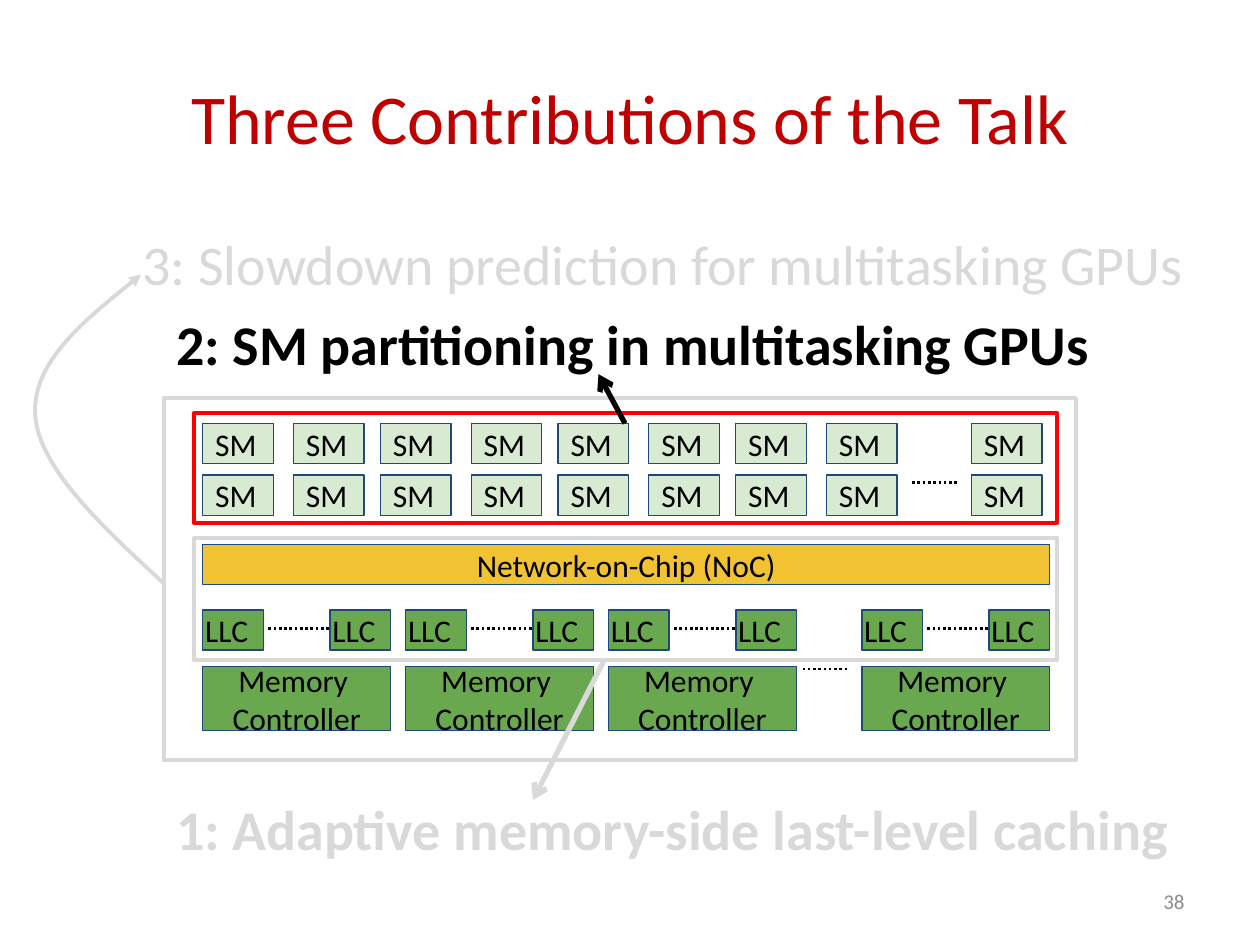
from lxml.etree import SubElement
from pptx import Presentation
from pptx.dml.color import RGBColor
from pptx.enum.dml import MSO_LINE
from pptx.enum.shapes import MSO_CONNECTOR, MSO_SHAPE
from pptx.enum.text import MSO_ANCHOR, PP_ALIGN
from pptx.oxml.ns import qn
from pptx.util import Inches, Pt

BLACK = RGBColor(0x00, 0x00, 0x00)
TITLE_RED = RGBColor(0xC0, 0x00, 0x00)
FOCUS_RED = RGBColor(0xFF, 0x00, 0x00)
FADED = RGBColor(0xD9, 0xD9, 0xD9)
PAGE_GRAY = RGBColor(0x8C, 0x8C, 0x8C)
NAVY = RGBColor(0x1F, 0x49, 0x7D)
SM_GREEN = RGBColor(0xD9, 0xEA, 0xD3)
MEMORY_GREEN = RGBColor(0x6A, 0xA8, 0x4F)
NOC_YELLOW = RGBColor(0xF1, 0xC2, 0x32)

UNIT_HEIGHT = 0.32
SM_WIDTH = 0.56
LLC_WIDTH = 0.48
CONTROLLER_WIDTH, CONTROLLER_HEIGHT = 1.49, 0.51


def inches(*lengths):
    return [Inches(length) for length in lengths]


def write(shape, text, size, color=BLACK, align=PP_ALIGN.LEFT,
          anchor=MSO_ANCHOR.TOP, bold=False, wrap=True, inset=None):
    frame = shape.text_frame
    frame.text = text
    frame.word_wrap = wrap
    frame.vertical_anchor = anchor
    if inset is not None:
        frame.margin_left = frame.margin_right = Inches(inset)
        frame.margin_top = frame.margin_bottom = Inches(inset)
    for paragraph in frame.paragraphs:
        paragraph.alignment = align
        for run in paragraph.runs:
            run.font.name = "Calibri"
            run.font.size = Pt(size)
            run.font.bold = bold
            run.font.color.rgb = color


def add_label(shapes, box, text, size, **style):
    write(shapes.add_textbox(*inches(*box)), text, size, **style)


def add_block(shapes, box, fill, text="", align=PP_ALIGN.CENTER):
    block = shapes.add_shape(MSO_SHAPE.RECTANGLE, *inches(*box))
    block.shadow.inherit = False
    block.fill.solid()
    block.fill.fore_color.rgb = fill
    block.line.color.rgb = NAVY
    block.line.width = Pt(0.75)
    if text:
        write(block, text, 18, align=align, anchor=MSO_ANCHOR.MIDDLE, inset=0.1)


def add_frame(shapes, box, color):
    frame = shapes.add_shape(MSO_SHAPE.RECTANGLE, *inches(*box))
    frame.shadow.inherit = False
    frame.fill.background()
    frame.line.color.rgb = color
    frame.line.width = Pt(2.25)


def add_arrowhead(shape, kind):
    SubElement(shape.line._get_or_add_ln(), qn("a:tailEnd"), type=kind)


def add_line(shapes, start, end, color, width):
    line = shapes.add_connector(MSO_CONNECTOR.STRAIGHT, *inches(*start, *end))
    SubElement(line._element.spPr, qn("a:effectLst"))
    line.line.color.rgb = color
    line.line.width = Pt(width)
    return line


def add_dots(shapes, left, y, width):
    dots = add_line(shapes, (left, y), (left + width, y), BLACK, 1.5)
    dots.line.dash_style = MSO_LINE.ROUND_DOT


def add_arrow(shapes, start, end, color):
    add_arrowhead(add_line(shapes, start, end, color, 3), "arrow")


def add_curved_arrow(shapes, start, *points):
    """Draw cubic segments; each takes two control points and an end point."""
    builder = shapes.build_freeform(*inches(*start))
    builder.add_line_segments([inches(*point) for point in points], close=False)
    curve = builder.convert_to_shape()
    curve.shadow.inherit = False
    curve.fill.background()
    curve.line.color.rgb = FADED
    curve.line.width = Pt(2.25)
    add_arrowhead(curve, "triangle")
    outline = next(curve._element.iter(qn("a:path")))
    segments = outline.findall(qn("a:lnTo"))
    for first in range(0, len(segments), 3):
        cubic = SubElement(outline, qn("a:cubicBezTo"))
        for segment in segments[first:first + 3]:
            cubic.append(segment[0])
            outline.remove(segment)


def add_sm_array(shapes, left, top):
    pair_pitch, partner_offset, row_pitch = 1.41, 0.72, 0.41
    columns = [pair * pair_pitch + side * partner_offset
               for pair in range(4) for side in range(2)] + [6.1]
    for row in range(2):
        for column in columns:
            box = (left + column, top + row * row_pitch, SM_WIDTH, UNIT_HEIGHT)
            add_block(shapes, box, SM_GREEN, "SM", PP_ALIGN.JUSTIFY)
    add_dots(shapes, left + 5.63, top + 0.47, 0.36)


def add_llc(shapes, left, top):
    group = shapes.add_group_shape().shapes
    add_block(group, (left, top, LLC_WIDTH, UNIT_HEIGHT), MEMORY_GREEN)
    add_label(group, (left - 0.08, top - 0.09, 0.64, 0.29), "LLC", 18, inset=0.1)


def add_memory_partition(shapes, left, top):
    """Place one memory controller below its row of cache slices."""
    add_block(shapes, (left, top + 0.45, CONTROLLER_WIDTH, CONTROLLER_HEIGHT),
              MEMORY_GREEN, "Memory \nController")
    add_dots(shapes, left + 0.52, top + 0.15, 0.57)
    for slice_left in (left, left + CONTROLLER_WIDTH - LLC_WIDTH):
        add_llc(shapes, slice_left, top)


def add_gpu(shapes, left, top, width, height):
    inner_left, inner_width = left + 0.31, 6.72
    add_sm_array(shapes, inner_left, top + 0.2)
    add_block(shapes, (inner_left, top + 1.16, inner_width, UNIT_HEIGHT),
              NOC_YELLOW, "Network-on-Chip (NoC)")
    for offset in (0, 1.61, 3.22, inner_width - CONTROLLER_WIDTH):
        add_memory_partition(shapes, inner_left + offset, top + 1.68)
    add_dots(shapes, inner_left + 4.76, top + 2.15, 0.36)
    add_frame(shapes, (left + 0.24, top + 1.11, 6.85, 0.97), FADED)
    add_frame(shapes, (left + 0.24, top + 0.12, 6.85, 0.87), FOCUS_RED)
    add_frame(shapes, (left, top, width, height), FADED)


def add_contributions(shapes):
    for box, text, color, bold in (
        ((1.3, 6.26, 8.17, 0.64),
         "1: Adaptive memory-side last-level caching", FADED, True),
        ((1.3, 2.41, 7.52, 0.64),
         "2: SM partitioning in multitasking GPUs", BLACK, True),
        ((1.03, 1.77, 8.56, 0.64),
         "3: Slowdown prediction for multitasking GPUs", FADED, False),
    ):
        add_label(shapes, box, text, 32, color=color, bold=bold, wrap=False)
    add_curved_arrow(shapes, (1.3, 4.63),
                     (0.8, 4.17), (0.31, 3.71), (0.28, 3.3),
                     (0.25, 2.89), (0.68, 2.53), (1.12, 2.18))
    add_arrow(shapes, (4.79, 5.25), (4.23, 6.35), FADED)
    add_arrow(shapes, (4.96, 3.36), (4.75, 2.97), BLACK)


def main():
    presentation = Presentation()
    presentation.slide_width, presentation.slide_height = inches(10, 7.5)
    shapes = presentation.slides.add_slide(presentation.slide_layouts[6]).shapes
    add_label(shapes, (0.5, 0.3, 9, 1.25), "Three Contributions of the Talk", 40,
              color=TITLE_RED, align=PP_ALIGN.CENTER, anchor=MSO_ANCHOR.MIDDLE)
    add_gpu(shapes, 1.3, 3.16, 7.24, 2.87)
    add_contributions(shapes)
    add_label(shapes, (7.17, 6.95, 2.33, 0.4), "38", 12, color=PAGE_GRAY,
              align=PP_ALIGN.RIGHT, anchor=MSO_ANCHOR.MIDDLE)
    presentation.save("out.pptx")


if __name__ == "__main__":
    main()
